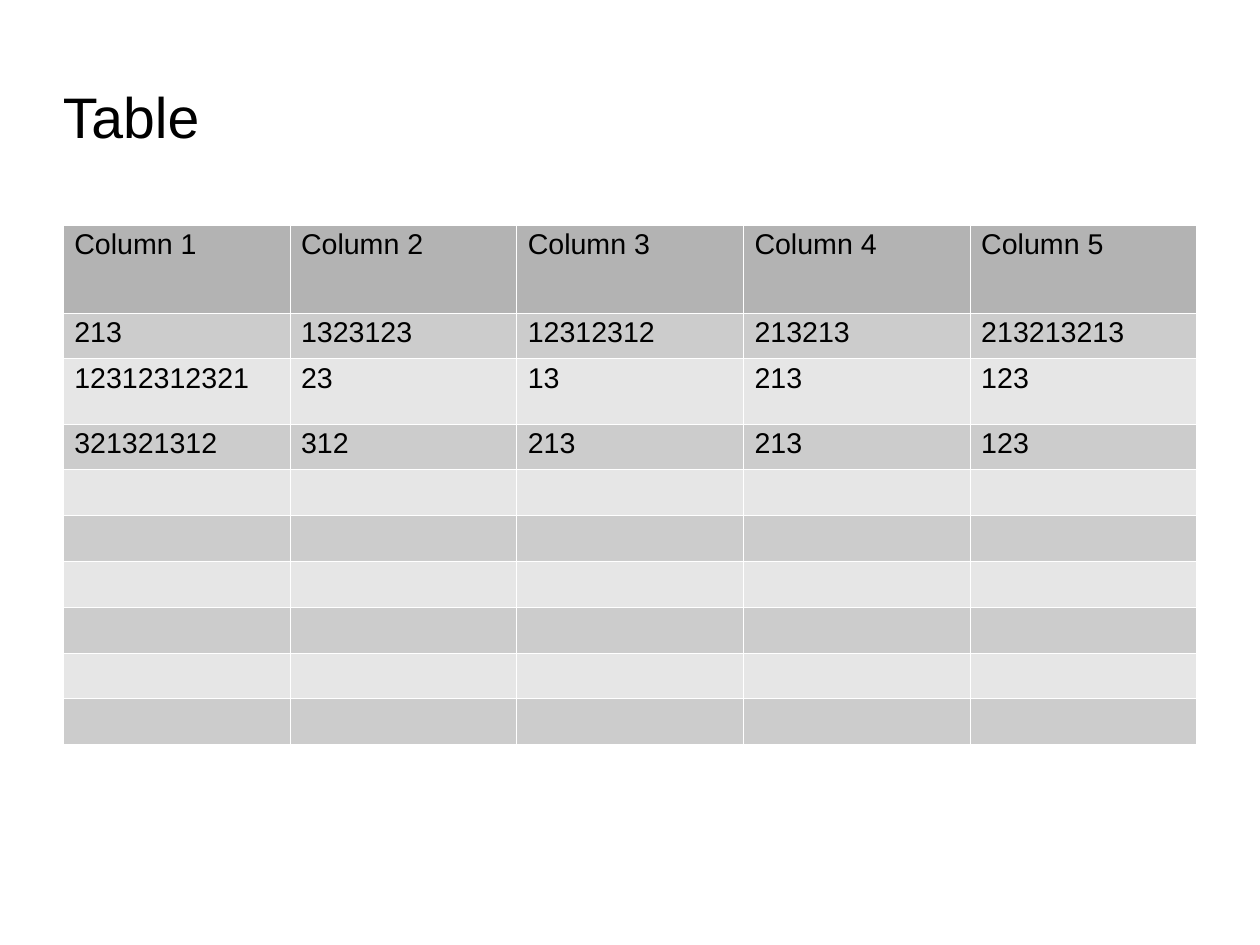
"""Build a slide with a title and a banded five-column table."""
import pptx
import pptx.dml.color
import pptx.enum.text
import pptx.oxml
import pptx.oxml.ns
import pptx.util

Pt = pptx.util.Pt
HUES = {"text": "000000", "head": "B3B3B3", "dark": "CCCCCC",
        "light": "E6E6E6", "rule": "FFFFFF"}
LEFT = 39.6
WIDTH = 714.24
ROWS = [
    ["Column 1", "Column 2", "Column 3", "Column 4", "Column 5"],
    ["213", "1323123", "12312312", "213213", "213213213"],
    ["12312312321", "23", "13", "213", "123"],
    ["321321312", "312", "213", "213", "123"],
] + [[""] * 5 for _ in range(6)]
HEIGHTS = [55.4, 28.75, 41.2] + [28.75] * 7


def color(name):
    """Return the named colour."""
    return pptx.dml.color.RGBColor.from_string(HUES[name])


def write(frame, text, size):
    """Add one run of text to the first paragraph of a frame."""
    para = frame.paragraphs[0]
    para.line_spacing = 0.94
    run = para.add_run()
    run.text = text
    run.font.name = "Arial"
    run.font.size = Pt(size)
    run.font.color.rgb = color("text")


def border(cell):
    """Draw a hairline on each side of a cell."""
    props = cell._tc.get_or_add_tcPr()
    space = pptx.oxml.ns.nsdecls("a")
    for side in ("lnL", "lnR", "lnT", "lnB"):
        props.append(pptx.oxml.parse_xml(
            f'<a:{side} {space} w="{Pt(0.06)}"><a:solidFill>'
            f'<a:srgbClr val="{HUES["rule"]}"/></a:solidFill></a:{side}>'))


def title(slide, text):
    """Add the slide title."""
    box = slide.shapes.add_textbox(Pt(LEFT), Pt(45.4), Pt(566.6), Pt(56.9))
    frame = box.text_frame
    frame.word_wrap = True
    frame.vertical_anchor = pptx.enum.text.MSO_ANCHOR.MIDDLE
    frame.margin_left = frame.margin_right = frame.margin_bottom = 0
    frame.margin_top = Pt(2)
    write(frame, text, 36)


def grid(slide):
    """Add the table with a header and banded rows."""
    count = len(ROWS[0])
    table = slide.shapes.add_table(
        len(ROWS), count, Pt(LEFT), Pt(141.7), Pt(WIDTH),
        Pt(sum(HEIGHTS))).table
    table.first_row = table.horz_banding = False
    for column in table.columns:
        column.width = Pt(WIDTH / count)
    for i, (row, height) in enumerate(zip(ROWS, HEIGHTS)):
        table.rows[i].height = Pt(height)
        shade = "head" if i == 0 else "dark" if i % 2 else "light"
        for j, text in enumerate(row):
            cell = table.cell(i, j)
            border(cell)
            cell.fill.solid()
            cell.fill.fore_color.rgb = color(shade)
            if text:
                write(cell.text_frame, text, 18)


def main():
    """Build and save the slide."""
    deck = pptx.Presentation()
    deck.slide_width = Pt(793.75)
    deck.slide_height = Pt(595.25)
    slide = deck.slides.add_slide(deck.slide_layouts[6])
    title(slide, "Table")
    grid(slide)
    deck.save("out.pptx")


if __name__ == "__main__":
    main()
